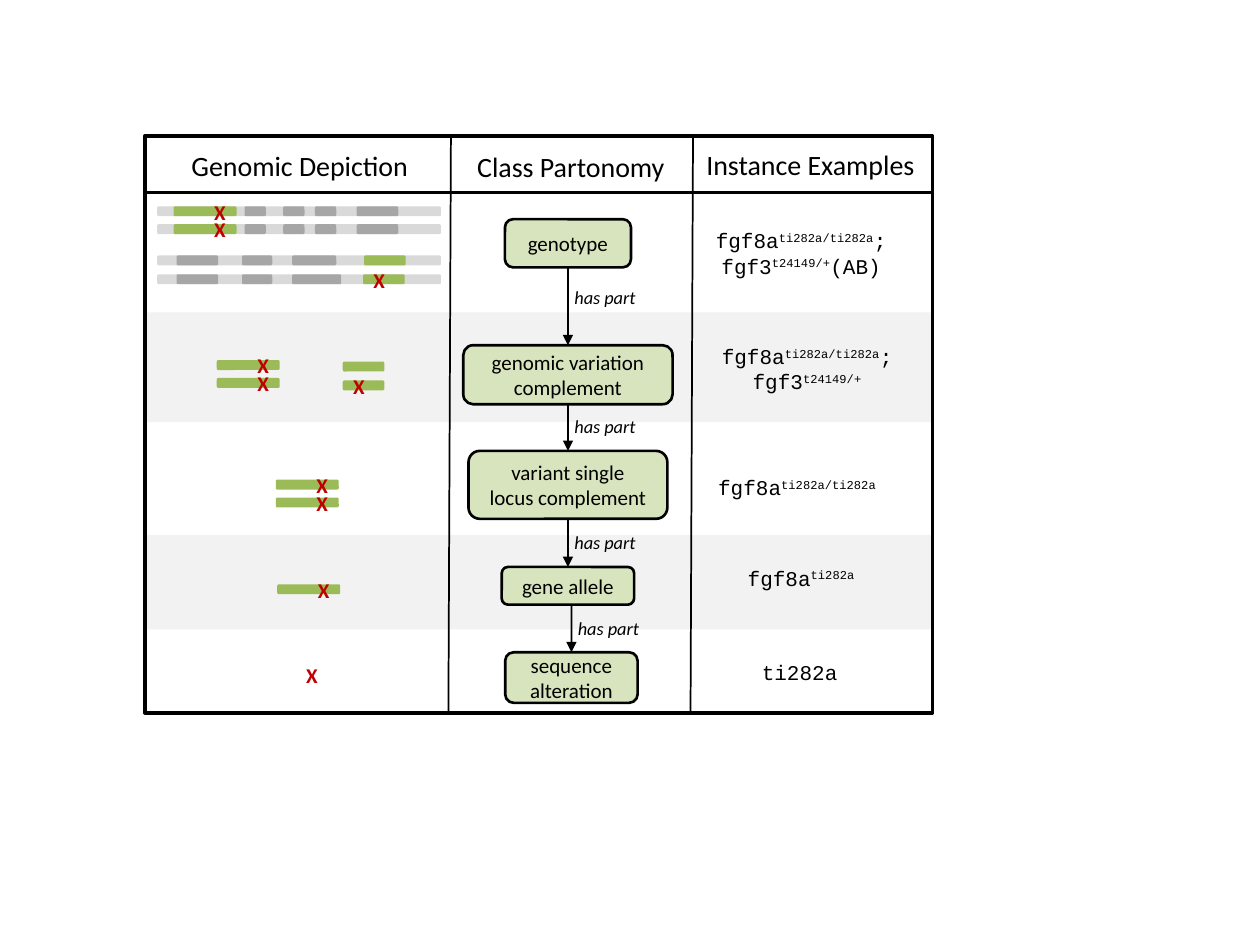
from collections import namedtuple

from lxml import etree
from pptx import Presentation
from pptx.dml.color import RGBColor
from pptx.enum.shapes import MSO_CONNECTOR, MSO_SHAPE
from pptx.enum.text import MSO_ANCHOR, MSO_AUTO_SIZE, PP_ALIGN
from pptx.oxml.ns import qn
from pptx.util import Cm, Pt

RECT, ROUNDED = MSO_SHAPE.RECTANGLE, MSO_SHAPE.ROUNDED_RECTANGLE
STRAIGHT = MSO_CONNECTOR.STRAIGHT
MIDDLE = MSO_ANCHOR.MIDDLE
GROW = MSO_AUTO_SIZE.SHAPE_TO_FIT_TEXT
LEFT, CENTER = PP_ALIGN.LEFT, PP_ALIGN.CENTER
TOP_SITE, BOTTOM_SITE = 0, 2

COLORS = {
    "ink": "000000", "band": "F2F2F2", "strand": "D9D9D9", "gene": "A6A6A6",
    "variant": "9BBB59", "mutation": "C00000", "node": "D7E4BD",
}

Box = namedtuple("Box", "left top width height")
FRAME = Box(2.92, 2.74, 15.88, 11.63)
DEPICTION = Box(2.92, 2.74, 6.12, 11.63)
PARTONOMY = Box(9.04, 2.74, 4.9, 11.63)
EXAMPLES = Box(13.94, 2.74, 4.86, 11.63)

BAR_HEIGHT = 0.2
LONG, SHORT = 1.27, 0.84
LONG_MARK, SHORT_MARK = 0.57, -0.04

FIRST_GENES = [(2.01, 0.43), (2.79, 0.43), (3.43, 0.43), (4.27, 0.84)]
SECOND_GENES = [(0.64, 0.84), (1.96, 0.61)]
STRANDS = [
    (1.42, FIRST_GENES), (1.78, FIRST_GENES),
    (2.41, SECOND_GENES + [(2.97, 0.89)]),
    (2.79, SECOND_GENES + [(2.97, 0.99)]),
]
ALLELES = [
    (0.58, 1.42, LONG, LONG_MARK), (0.58, 1.78, LONG, LONG_MARK),
    (4.42, 2.41, SHORT, None), (4.4, 2.79, SHORT, SHORT_MARK),
    (1.45, 4.52, LONG, LONG_MARK), (1.45, 4.88, LONG, LONG_MARK),
    (3.99, 4.55, SHORT, None), (3.99, 4.93, SHORT, SHORT_MARK),
    (2.64, 6.93, LONG, LONG_MARK), (2.64, 7.29, LONG, LONG_MARK),
    (2.67, 9.04, LONG, LONG_MARK),
]
NODES = [
    ("genotype", 2.41, 1.68, 2.54, 0.97),
    ("genomic variation complement", 2.41, 4.22, 4.22, 1.19),
    ("variant single\vlocus complement", 2.41, 6.35, 4.01, 1.37),
    ("gene allele", 2.41, 8.69, 2.67, 0.76),
    ("sequence alteration", 2.48, 10.41, 2.67, 1.02),
]
LABEL_TOPS = [2.9, 5.51, 7.85, 9.58]

FGF8A_PAIR = [("fgf8a", "ti282a/ti282a")]
FGF3 = ("fgf3", "t24149/+")
INSTANCES = [
    (-0.48, 1.73, [FGF8A_PAIR + [(";", "")], [FGF3, ("(AB)", "")]]),
    (-0.36, 4.06, [FGF8A_PAIR + [(";", "")], [FGF3]]),
    (-0.56, 6.71, [FGF8A_PAIR]),
    (-0.48, 8.53, [[("fgf8a", "ti282a")]]),
    (-0.51, 10.44, [[("ti282a", "")]]),
]


def rgb(name):
    """Return the named colour."""
    return RGBColor.from_string(COLORS[name])


def within(box, left, top, width, height):
    """Return slide lengths for an area given relative to a box."""
    return Cm(box.left + left), Cm(box.top + top), Cm(width), Cm(height)


def style_paragraph(paragraph, size, color="ink", face="Calibri", align=LEFT):
    """Set alignment and font of a paragraph and return its font."""
    paragraph.alignment = align
    font = paragraph.font
    font.name, font.size = face, Pt(size)
    font.color.rgb = rgb(color)
    return font


def add_block(slide, kind, area, fill=None, line_width=None):
    """Add a flat preset shape with optional fill and black outline."""
    block = slide.shapes.add_shape(kind, *area)
    block.shadow.inherit = False
    if fill:
        block.fill.solid()
        block.fill.fore_color.rgb = rgb(fill)
    else:
        block.fill.background()
    if line_width:
        block.line.color.rgb = rgb("ink")
        block.line.width = Pt(line_width)
    else:
        block.line.fill.background()
    return block


def add_caption(slide, area, text, size, color="ink"):
    """Add a single unwrapped line of text and return its font."""
    frame = slide.shapes.add_textbox(*area).text_frame
    frame.word_wrap = False
    frame.auto_size = GROW
    frame.text = text
    return style_paragraph(frame.paragraphs[0], size, color)


def add_rule(slide, box, start, end, width=1, arrow=False):
    """Add a black straight line between two points relative to a box."""
    points = [Cm(base + shift) for point in (start, end)
              for base, shift in zip((box.left, box.top), point)]
    rule = slide.shapes.add_connector(STRAIGHT, *points)
    rule.line.color.rgb = rgb("ink")
    rule.line.width = Pt(width)
    if arrow:
        etree.SubElement(rule.line._get_or_add_ln(), qn("a:tailEnd"), type="triangle")
    etree.SubElement(rule._element.spPr, qn("a:effectLst"))
    return rule


def draw_grid(slide, box):
    """Draw the shaded bands and the outer frame."""
    for top, height in ((8.05, 1.9), (3.56, 2.21)):
        add_block(slide, RECT, within(box, 0, top, box.width, height), "band")
    add_block(slide, RECT, within(box, 0, 0, box.width, box.height), line_width=2)


def draw_headings(slide, box):
    """Draw the column headings and the dividing lines."""
    for text, left, top, width in (("Genomic Depiction", 0.69, 0.13, 4.93),
                                   ("Class Partonomy", 6.45, 0.15, 4.34),
                                   ("Instance Examples", 11.07, 0.1, 4.75)):
        add_caption(slide, within(box, left, top, width, 0.94), text, 16)
    for left in (6.17, 11.05):
        add_rule(slide, box, (left, 0), (left - 0.05, box.height))
    add_rule(slide, box, (0.05, 1.14), (box.width, 1.14), 1.5)


def add_mutation(slide, box, left, top):
    """Mark a mutation with a red X."""
    area = within(box, left, top, 0.74, 0.76)
    add_caption(slide, area, "X", 12, "mutation").bold = True


def draw_depiction(slide, box):
    """Draw the strands, the variant alleles and their mutations."""
    for top, genes in STRANDS:
        add_block(slide, ROUNDED, within(box, 0.25, top, 5.72, BAR_HEIGHT), "strand")
        for left, width in genes:
            add_block(slide, ROUNDED, within(box, left, top, width, BAR_HEIGHT), "gene")
    for left, top, width, _ in ALLELES:
        add_block(slide, ROUNDED, within(box, left, top, width, BAR_HEIGHT), "variant")
    for left, top, _, mark in ALLELES:
        if mark is not None:
            add_mutation(slide, box, left + mark, top - 0.27)
    add_mutation(slide, box, 3, 10.49)


def add_node(slide, box, text, center, top, width, height):
    """Add one class of the partonomy, centred on the given position."""
    area = within(box, center - width / 2, top, width, height)
    node = add_block(slide, ROUNDED, area, "node", 1.5)
    frame = node.text_frame
    frame.word_wrap = True
    frame.vertical_anchor = MIDDLE
    frame.text = text
    style_paragraph(frame.paragraphs[0], 12, align=CENTER)
    return node


def draw_partonomy(slide, box):
    """Draw the chain of classes joined by has-part arrows."""
    nodes = [add_node(slide, box, *node) for node in NODES]
    for i, label_top in enumerate(LABEL_TOPS):
        _, whole_center, whole_top, _, whole_height = NODES[i]
        _, center, top, _, _ = NODES[i + 1]
        arrow = add_rule(slide, box, (center, whole_top + whole_height),
                         (center, top), arrow=True)
        if whole_center == center:
            arrow.begin_connect(nodes[i], BOTTOM_SITE)
        arrow.end_connect(nodes[i + 1], TOP_SITE)
        area = within(box, center - 0.12, label_top, 1.75, 0.71)
        add_caption(slide, area, "has part", 10.5).italic = True


def draw_examples(slide, box):
    """Write the genotype notations with superscript alleles."""
    for left, top, notation in INSTANCES:
        area = within(box, left, top, 5.38, 0.25 + 0.51 * len(notation))
        frame = slide.shapes.add_textbox(*area).text_frame
        frame.word_wrap = True
        frame.auto_size = GROW
        for i, parts in enumerate(notation):
            paragraph = frame.add_paragraph() if i else frame.paragraphs[0]
            style_paragraph(paragraph, 12, face="Courier New", align=CENTER)
            for gene, allele in parts:
                paragraph.add_run().text = gene
                if allele:
                    raised = paragraph.add_run()
                    raised.text = allele
                    raised._r.get_or_add_rPr().set("baseline", "30000")


def main():
    """Build the slide and save it."""
    deck = Presentation()
    deck.slide_width, deck.slide_height = Cm(25.4), Cm(19.05)
    slide = deck.slides.add_slide(deck.slide_layouts[6])
    draw_grid(slide, FRAME)
    draw_depiction(slide, DEPICTION)
    draw_partonomy(slide, PARTONOMY)
    draw_examples(slide, EXAMPLES)
    draw_headings(slide, FRAME)
    deck.save("out.pptx")


if __name__ == "__main__":
    main()
